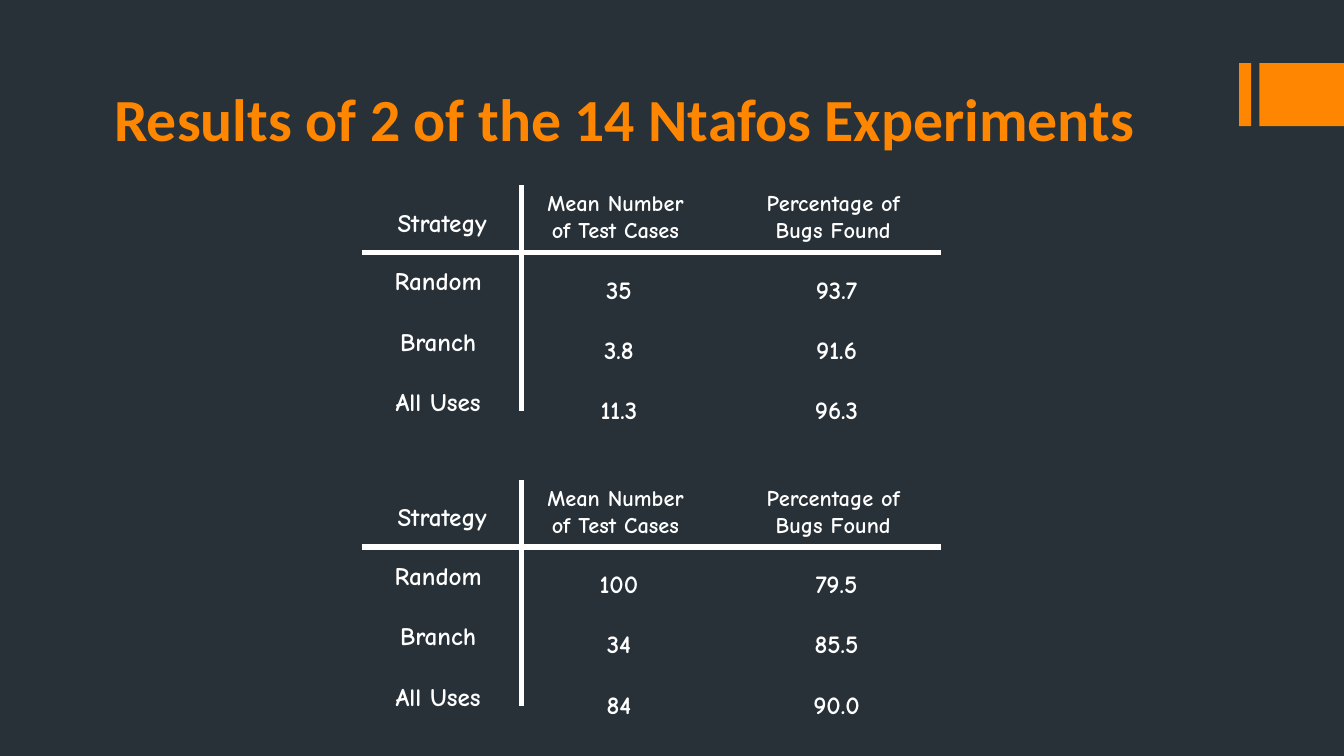
from dataclasses import dataclass

from lxml import etree
from pptx import Presentation
from pptx.dml.color import RGBColor
from pptx.enum import shapes as sh, text as tx
from pptx.oxml import ns
from pptx.util import Inches, Pt


@dataclass(frozen=True)
class Theme:
    back: RGBColor = RGBColor(0x28, 0x31, 0x38)
    accent: RGBColor = RGBColor(0xFF, 0x86, 0x00)
    ink: RGBColor = RGBColor(0xFF, 0xFF, 0xFF)
    head_font: str = "Calibri"
    body_font: str = "Comic Neue"
    title: float = 32
    body: float = 13.5
    small: float = 12
    gap: float = 16.2
    rule: float = 3


THEME = Theme()
STRATS = ["Random", "Branch", "All Uses"]
# Top of each table, its mean numbers of test cases, its percentages of bugs
TABLES = [
    (1.36, ["35", "3.8", "11.3"], ["93.7", "91.6", "96.3"]),
    (3.55, ["100", "34", "84"], ["79.5", "85.5", "90.0"]),
]


def style(para, font, size, color):
    para.font.name = font
    para.font.size = Pt(size)
    para.font.bold = True
    para.font.color.rgb = color


def add_lines(slide, box, lines, size, gap=0):
    """Centred column of lines, with a gap in points between them."""
    frame = slide.shapes.add_textbox(*map(Inches, box)).text_frame
    frame.word_wrap = False
    frame.auto_size = tx.MSO_AUTO_SIZE.SHAPE_TO_FIT_TEXT
    frame.vertical_anchor = tx.MSO_ANCHOR.MIDDLE
    frame.text = "\n".join(lines)
    for i, para in enumerate(frame.paragraphs):
        style(para, THEME.body_font, size, THEME.ink)
        para.alignment = tx.PP_ALIGN.CENTER
        para.space_before = Pt(gap if i else 0)


def add_rule(slide, *ends):
    line = slide.shapes.add_connector(sh.MSO_CONNECTOR.STRAIGHT, *map(Inches, ends))
    line.line.color.rgb = THEME.ink
    line.line.width = Pt(THEME.rule)
    etree.SubElement(line._element.spPr, ns.qn("a:effectLst"))


def add_title(slide, box, words):
    title = slide.shapes.title
    title.left, title.top, title.width, title.height = map(Inches, box)
    frame = title.text_frame
    frame.text = words
    frame.word_wrap = True
    frame.auto_size = tx.MSO_AUTO_SIZE.NONE
    frame.vertical_anchor = tx.MSO_ANCHOR.BOTTOM
    para = frame.paragraphs[0]
    para.alignment = tx.PP_ALIGN.LEFT
    style(para, THEME.head_font, THEME.title, THEME.accent)


def add_tab(slide, left, top, width, height):
    """Accent tab at the slide edge: a thin bar and a block."""
    bar, space = 0.09, 0.06
    block = bar + space
    for x, w in [(left, bar), (left + block, width - block)]:
        part = slide.shapes.add_shape(
            sh.MSO_SHAPE.RECTANGLE, *map(Inches, (x, top, w, height)))
        part.shadow.inherit = False
        part.fill.solid()
        part.fill.fore_color.rgb = THEME.accent
        part.line.fill.background()


def add_results(slide, left, top, width, height, means, bugs):
    """Open table: strategy column, two value columns, crossed rules."""
    # Strategy column
    add_lines(slide, (left + 0.09, top + 0.13, 1.02, 0.33), ["Strategy"], THEME.body)
    add_lines(slide, (left + 0.09, top + 0.56, 0.96, 1.24), STRATS,
              THEME.body, THEME.gap)
    # Value columns, each centred under its heading
    columns = [
        (1.9, ["Mean Number", "of Test Cases"], means),
        (3.52, ["Percentage of", "Bugs Found"], bugs),
    ]
    for mid, head, values in columns:
        x = left + mid
        add_lines(slide, (x - 0.68, top, 1.34, 0.5), head, THEME.small)
        add_lines(slide, (x - 0.3, top + 0.62, 0.63, 1.24), values,
                  THEME.body, THEME.gap)
    # Rules
    add_rule(slide, left, top + 0.52, left + width, top + 0.52)
    add_rule(slide, left + 1.19, top + 0.02, left + 1.19, top + height)


def main():
    deck = Presentation()
    # Widescreen, 16 to 9
    deck.slide_width = Inches(10)
    deck.slide_height = deck.slide_width * 9 // 16
    slide = deck.slides.add_slide(deck.slide_layouts[5])
    slide.background.fill.solid()
    slide.background.fill.fore_color.rgb = THEME.back

    add_tab(slide, 9.22, 0.47, 0.78, 0.47)
    add_title(slide, (0.75, 0.31, 8.33, 0.88),
              "Results of 2 of the 14 Ntafos Experiments")
    for top, means, bugs in TABLES:
        add_results(slide, 2.69, top, 4.31, 1.7, means, bugs)
    deck.save("out.pptx")


if __name__ == "__main__":
    main()
